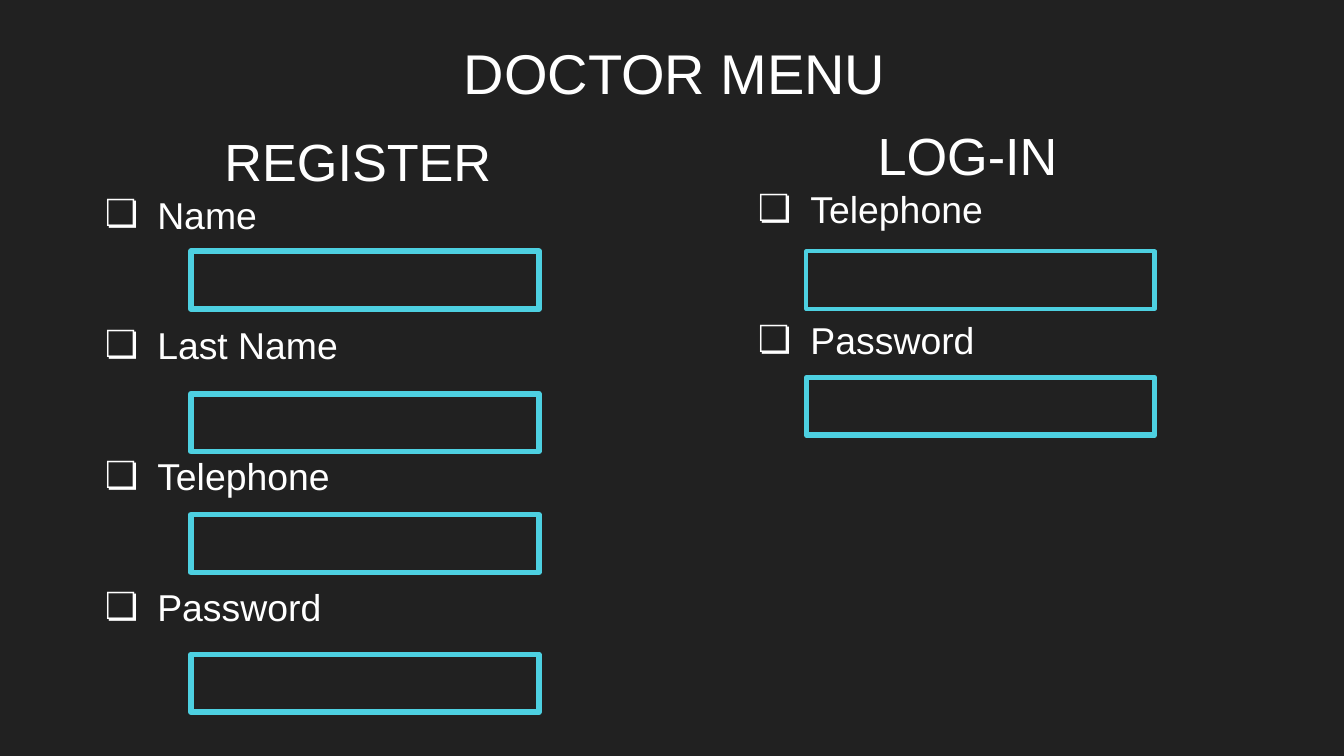
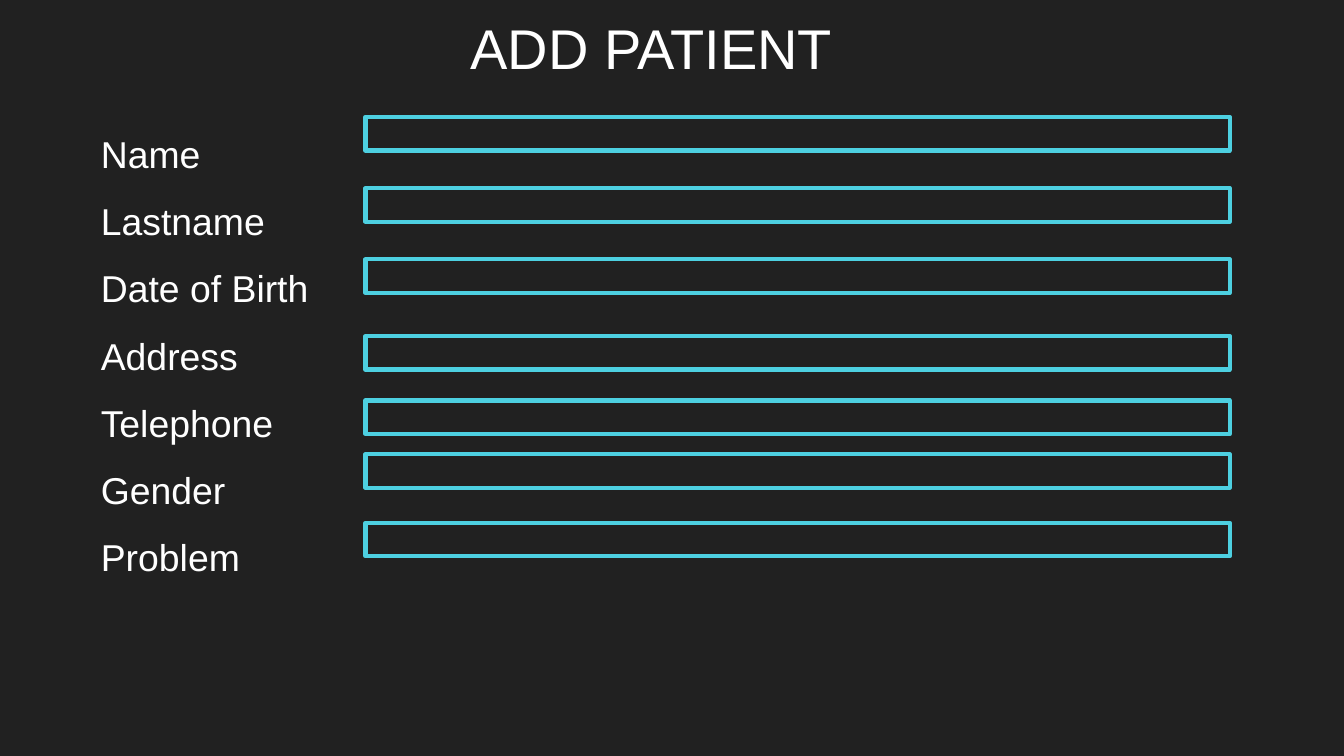
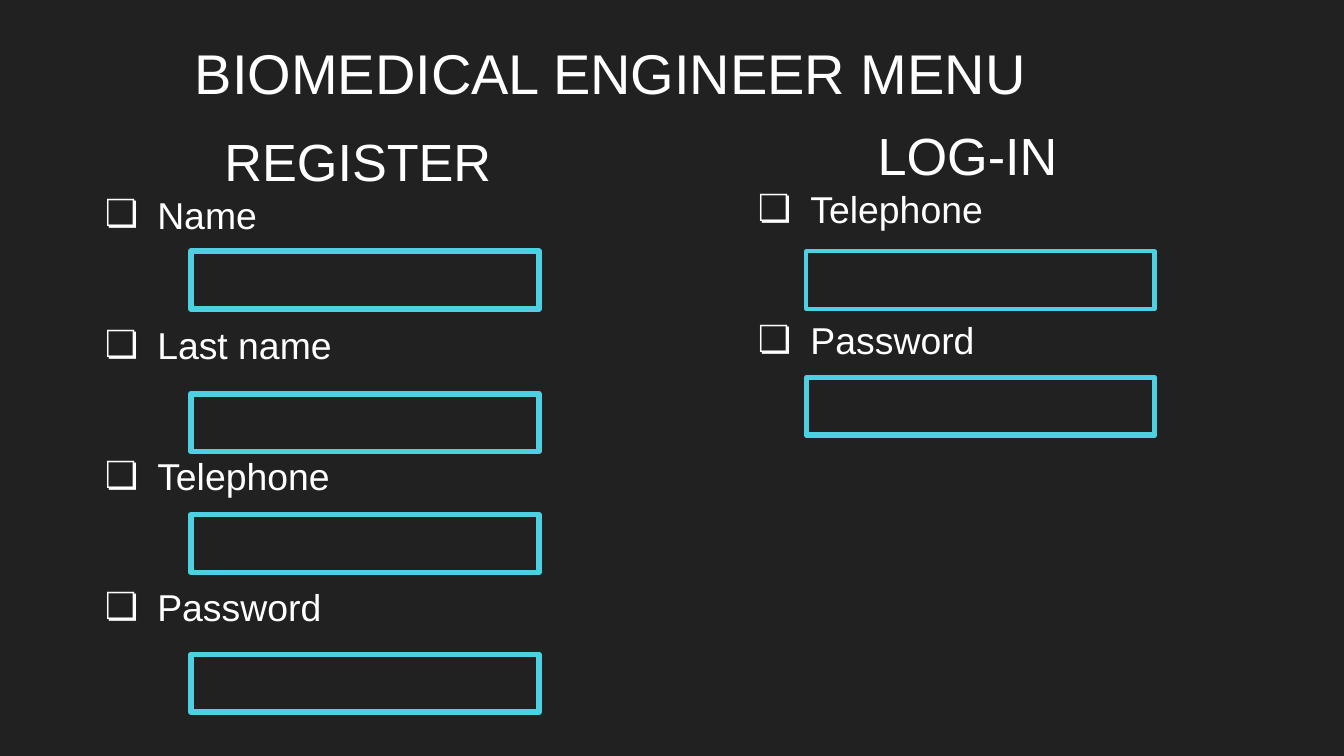
import pptx
import pptx.util
import pptx.dml.color
import pptx.enum.shapes
import pptx.enum.text
import pptx.oxml.ns
from lxml import etree

DARK = pptx.dml.color.RGBColor(0x21, 0x21, 0x21)
WHITE = pptx.dml.color.RGBColor(0xFF, 0xFF, 0xFF)
CYAN = pptx.dml.color.RGBColor(0x4D, 0xD0, 0xE1)
FONT = "Arial"
MARK = "❏"

WIDE = pptx.util.Inches(10)
HIGH = pptx.util.Inches(5.625)
UNIT = WIDE / 100
INCH = pptx.util.Inches(1)

LOGIN = {
    "head": "LOG-IN", "items": ["Telephone", "Password"],
    "area": (54.3, 8.2, 37.3, 39.8),
    "left": 60, "rows": [(18.7, 2.25), (28.1, 3)],
}


def register(last):
    return {
        "head": "REGISTER", "items": ["Name", last, "Telephone", "Password"],
        "area": (5.7, 8.6, 39.6, 45.8),
        "left": 14.2, "rows": [(top, 3) for top in (18.7, 29.3, 38.3, 48.7)],
    }


MENUS = {
    "doctor": {"title": "DOCTOR MENU", "shift": 2,
               "parts": [register("Last Name"), LOGIN]},
    "engineer": {"title": "BIOMEDICAL ENGINEER MENU", "shift": 0,
                 "parts": [register("Last name"), LOGIN]},
}
MENU_AREA = (8.5, 1.9, 78, 52.4)
MENU_BOX = (25.9, 4.3)

PATIENT = {
    "title": "ADD PATIENT", "shift": 1, "top": (19, 0, 81, 7.7),
    "items": ["Name", "Lastname", "Date of Birth", "Address",
              "Telephone", "Gender", "Problem"],
    "area": (6.5, 7.1, 85.6, 42.1),
    "left": 27.2, "rows": [8.7, 14, 19.3, 25, 29.8, 33.8, 38.9],
}
PATIENT_BOX = (64.3, 2.5)


def place(area):
    return [round(part * UNIT) for part in area]


def frame(holder, area):
    holder.left, holder.top, holder.width, holder.height = place(area)
    body = holder.text_frame
    body.word_wrap = True
    body.auto_size = pptx.enum.text.MSO_AUTO_SIZE.NONE
    body.vertical_anchor = pptx.enum.text.MSO_ANCHOR.TOP
    for side in ("left", "right", "top", "bottom"):
        setattr(body, "margin_" + side, round(UNIT))
    return body


def write(body, text, size=20, margin=0, indent=0, mark=None, gap=0, lines=1):
    para = body.paragraphs[0]
    if para.runs:
        para = body.add_paragraph()
    props = para._p.get_or_add_pPr()
    props.set("marL", str(round(margin * INCH)))
    props.set("indent", str(round(indent * INCH)))
    para.alignment = pptx.enum.text.PP_ALIGN.LEFT
    para.line_spacing = lines
    para.space_before = pptx.util.Pt(gap)
    para.space_after = pptx.util.Pt(0)
    name = pptx.oxml.ns.qn
    if mark:
        tint = etree.SubElement(props, name("a:buClr"))
        etree.SubElement(tint, name("a:srgbClr")).set("val", str(WHITE))
        etree.SubElement(props, name("a:buFont")).set("typeface", FONT)
        etree.SubElement(props, name("a:buChar")).set("char", mark)
    else:
        etree.SubElement(props, name("a:buNone"))
    run = para.add_run()
    run.text = text
    run.font.name = FONT
    run.font.size = pptx.util.Pt(size)
    run.font.color.rgb = WHITE


def field(slide, left, top, size, weight):
    box = slide.shapes.add_shape(
        pptx.enum.shapes.MSO_SHAPE.RECTANGLE, *place((left, top, *size)))
    box.shadow.inherit = False
    box.fill.background()
    box.line.color.rgb = CYAN
    box.line.width = pptx.util.Pt(weight)


def start(deck, layout, page, area):
    slide = deck.slides.add_slide(deck.slide_layouts.get_by_name(layout))
    write(frame(slide.shapes.title, area), page["title"],
          size=30, margin=page["shift"], indent=0.5)
    return slide


def menu(deck, page):
    slide = start(deck, "Two Content", page, MENU_AREA)
    for spot, part in enumerate(page["parts"], 1):
        body = frame(slide.placeholders[spot], part["area"])
        write(body, part["head"], size=28, margin=0.5, indent=0.5)
        for row, item in enumerate(part["items"]):
            write(body, item, margin=0.5, indent=-0.39, mark=MARK,
                  gap=46 if row else 0)
        for top, weight in part["rows"]:
            field(slide, part["left"], top, MENU_BOX, weight)


def patient(deck, page):
    slide = start(deck, "Title and Content", page, page["top"])
    body = frame(slide.placeholders[1], page["area"])
    for item in page["items"]:
        write(body, item, lines=1.5)
    for top in page["rows"]:
        field(slide, page["left"], top, PATIENT_BOX, 2.25)


def main():
    deck = pptx.Presentation()
    deck.slide_width, deck.slide_height = WIDE, HIGH
    back = deck.slide_master.background.fill
    back.solid()
    back.fore_color.rgb = DARK
    menu(deck, MENUS["doctor"])
    patient(deck, PATIENT)
    menu(deck, MENUS["engineer"])
    deck.save("out.pptx")


if __name__ == "__main__":
    main()
